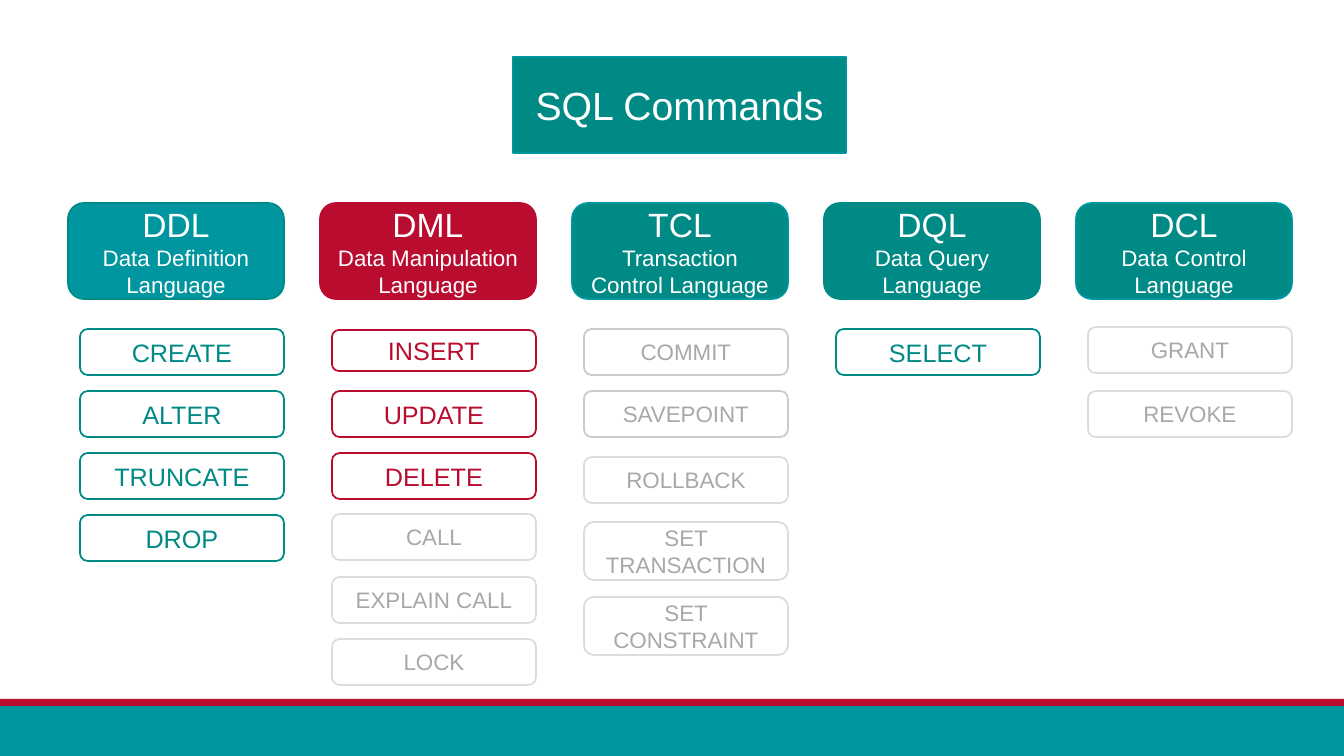
from dataclasses import dataclass
from lxml import etree
from pptx import Presentation
from pptx import util as u
from pptx.dml.color import RGBColor
from pptx.enum import shapes, text
from pptx.oxml import ns


@dataclass(frozen=True)
class Theme:
    font: str = "Arial"
    white: str = "FFFFFF"
    green: str = "008A86"
    teal: str = "00969F"
    red: str = "BA0C2F"
    gray: str = "A7A8AA"
    mid: str = "CACBCC"
    pale: str = "DCDCDD"
    title: int = 28
    head: int = 24
    main: int = 18
    small: int = 16
    line: float = 1.25


T = Theme()
LIVE = (T.green, T.green, T.main)
HOT = (T.red, T.red, T.main)
DIM = (T.pale, T.gray, T.small)
SOFT = (T.mid, T.gray, T.small)

TITLE = "SQL Commands"
GROUPS = [
    ("DDL", "Data Definition Language", T.teal, T.green, [
        ("CREATE", LIVE, 329, 46), ("ALTER", LIVE, 391, 46),
        ("TRUNCATE", LIVE, 453, 46), ("DROP", LIVE, 515, 46)]),
    ("DML", "Data Manipulation Language", T.red, T.red, [
        ("INSERT", HOT, 330, 41), ("UPDATE", HOT, 391, 46),
        ("DELETE", HOT, 453, 46), ("CALL", DIM, 514, 46),
        ("EXPLAIN CALL", DIM, 577, 46), ("LOCK", DIM, 639, 46)]),
    ("TCL", "Transaction Control Language", T.green, T.teal, [
        ("COMMIT", SOFT, 329, 46), ("SAVEPOINT", SOFT, 391, 46),
        ("ROLLBACK", DIM, 457, 46), ("SET TRANSACTION", DIM, 522, 58),
        ("SET CONSTRAINT", DIM, 597, 58)]),
    ("DQL", "Data Query Language", T.green, T.green, [
        ("SELECT", LIVE, 329, 46)]),
    ("DCL", "Data Control Language", T.green, T.teal, [
        ("GRANT", DIM, 327, 46), ("REVOKE", DIM, 391, 46)]),
]
BARS = [(706, 50, T.teal), (699, 7, T.red)]

WIDE, HIGH = 1344, 756
LEFT, STEP, HEAD_W, ITEM_W = 68, 252, 216, 204
HEAD_Y, HEAD_H = 203, 96


def px(n):
    return u.Emu(round(n * 914400 / 100.8))


def place(shape, left, top, wide, high):
    shape.left, shape.top = px(left), px(top)
    shape.width, shape.height = px(wide), px(high)


def paint(shape, fill, edge):
    shape.fill.solid()
    shape.fill.fore_color.rgb = RGBColor.from_string(fill)
    shape.line.color.rgb = RGBColor.from_string(edge)
    shape.line.width = u.Pt(T.line)


def write(shape, lines, color):
    frame = shape.text_frame
    frame.text = "\n".join(line for line, size in lines)
    frame.word_wrap = True
    frame.auto_size = text.MSO_AUTO_SIZE.NONE
    frame.vertical_anchor = text.MSO_ANCHOR.MIDDLE
    for para, (line, size) in zip(frame.paragraphs, lines):
        para.alignment = text.PP_ALIGN.CENTER
        para.font.name = T.font
        para.font.size = u.Pt(size)
        para.font.color.rgb = RGBColor.from_string(color)


def block(slide, kind, box):
    shape = slide.shapes.add_shape(kind, *map(px, box))
    shape.shadow.inherit = False
    return shape


def card(slide, box, fill, edge, lines, color):
    shape = block(slide, shapes.MSO_SHAPE.ROUNDED_RECTANGLE, box)
    paint(shape, fill, edge)
    write(shape, lines, color)


def main():
    deck = Presentation()
    deck.slide_width, deck.slide_height = px(WIDE), px(HIGH)
    slide = deck.slides.add_slide(deck.slide_layouts[5])

    for top, high, color in BARS:
        bar = block(slide, shapes.MSO_SHAPE.RECTANGLE, (0, top, WIDE, high))
        bar.fill.solid()
        bar.fill.fore_color.rgb = RGBColor.from_string(color)
        bar.line.fill.background()

    title = slide.shapes.title
    place(title, 513, 57, 333, 96)
    geom = etree.SubElement(title.element.spPr, ns.qn("a:prstGeom"), prst="roundRect")
    etree.SubElement(geom, ns.qn("a:avLst"))
    paint(title, T.green, T.teal)
    write(title, [(TITLE, T.title)], T.white)

    for col, (name, label, fill, edge, items) in enumerate(GROUPS):
        left = LEFT + col * STEP
        lines = [(name, T.head), (label, T.small)]
        card(slide, (left, HEAD_Y, HEAD_W, HEAD_H), fill, edge, lines, T.white)
        inner = left + HEAD_W - ITEM_W
        for word, (rim, ink, size), top, high in items:
            card(slide, (inner, top, ITEM_W, high), T.white, rim, [(word, size)], ink)

    deck.save("out.pptx")


if __name__ == "__main__":
    main()
